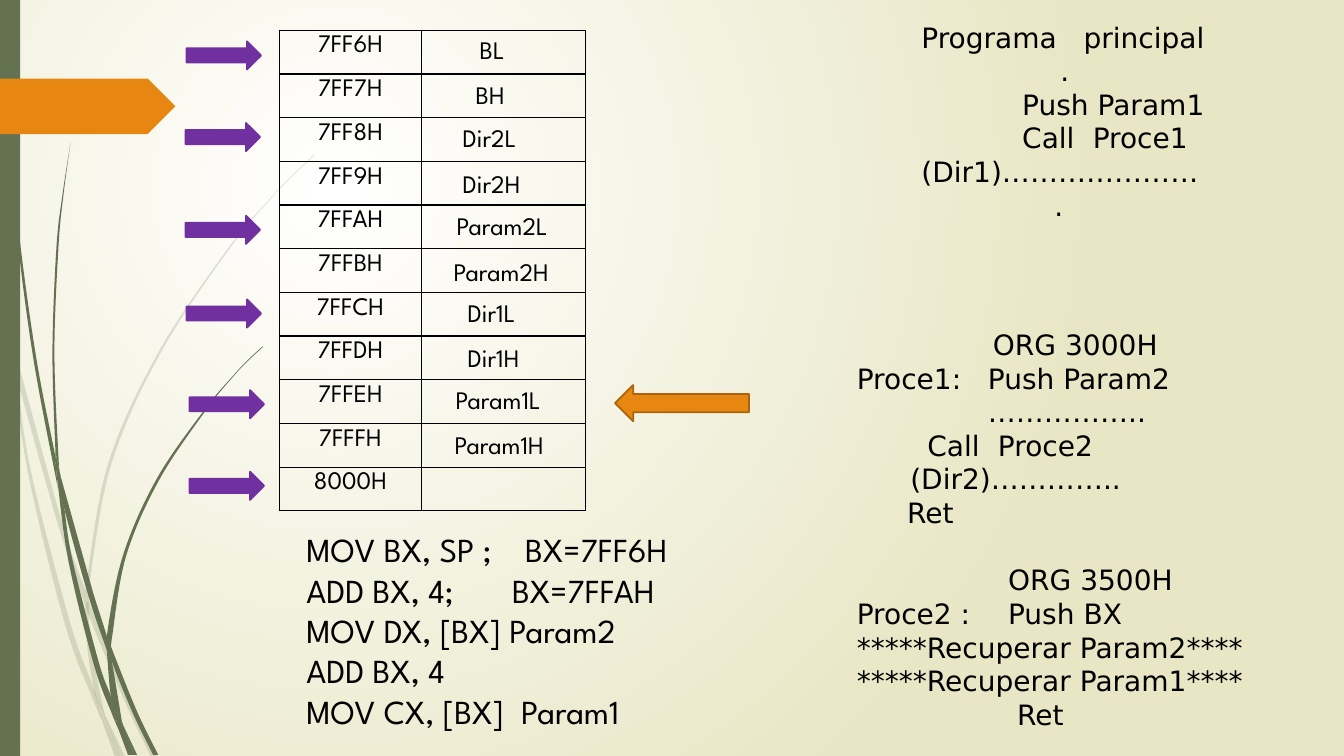
from pptx import Presentation
from pptx.dml.color import RGBColor
from pptx.enum.shapes import MSO_SHAPE
from pptx.enum.text import PP_ALIGN
from pptx.oxml.ns import qn
from pptx.util import Inches, Pt
from lxml.etree import SubElement

HUE = {"leaf": "647252", "gold": "E78712", "rust": "AB640D", "plum": "7030A0",
       "ink": "000000", "pale": "FFFFFF", "sand": "E8E6C4"}
INK = RGBColor.from_string(HUE["ink"])
CODE = {"name": "DejaVu Sans", "size": Pt(20)}
CELL = {"name": "League Spartan", "size": Pt(18)}
STEP = {"name": "League Spartan", "size": Pt(24)}

ADDR = ["7FF6H", "7FF7H", "7FF8H", "7FF9H", "7FFAH", "7FFBH",
        "7FFCH", "7FFDH", "7FFEH", "7FFFH", "8000H"]
MARKS = [("BL", 4.66, 0.29), ("BH", 4.62, 0.74), ("Dir2L", 4.49, 1.16),
         ("Dir2H", 4.49, 1.62), ("Param2L", 4.43, 2.04), ("Param2H", 4.4, 2.49),
         ("Dir1L", 4.54, 2.9), ("Dir1H", 4.54, 3.35), ("Param1L", 4.42, 3.76),
         ("Param1H", 4.41, 4.21)]
ARROWS = [(1.85, 0.41), (1.84, 1.22), (1.84, 2.14), (1.85, 2.97), (1.88, 3.87), (1.88, 4.68)]

MAIN = [("Programa\tprincipal", [1.61]), ("\t.", [1.38]), ("\tPush Param1", [1]),
        ("\tCall\tProce1", [1, 1.7]), ("(Dir1)…………………", []), ("\t.", [1.32])]
PROCS = [("\tORG 3000H", [1.35]), ("Proce1:\tPush Param2", [1.3]), ("\t……………..", [1.3]),
         ("\tCall\tProce2", [0.7, 1.4]), ("\t(Dir2)…………..", [0.53]), ("\tRet", [0.5]),
         ("\tORG 3500H", [1.5]), ("Proce2 :\tPush BX", [1.5]),
         ("*****Recuperar Param2****", []), ("*****Recuperar Param1****", []),
         ("\tRet", [1.59])]
STEPS = [("MOV BX, SP ;\tBX=7FF6H", [2.17]), ("ADD BX, 4;\tBX=7FFAH", [2.04]),
         ("MOV DX, [BX] Param2", []), ("ADD BX, 4", []),
         ("MOV CX, [BX]\tParam1", [2.13])]

PALE = [
    ([(.11, 3.5), (.09, 3.22), (0, 2.82)], [(0, 2.99), (.1, 3.44)]),
    ([(.17, 3.76), (.58, 5.22), (.84, 5.99)], [(.85, 5.86), (.62, 5.2), (.14, 3.45)]),
    ([(.88, 5.96), (.88, 6.1), (1.23, 6.94), (1.5, 7.51)], [(1.55, 7.51), (1.27, 6.92), (.92, 6.07)]),
    ([(1.05, 7.11), (1.19, 7.51)], [(1.24, 7.51)]),
    ([(.11, 3.5), (.28, 4.7), (.65, 6.21), (.92, 6.93), (1.01, 7.14)],
     [(.99, 7.07), (.93, 6.83), (.7, 6.19), (.31, 4.69), (.17, 3.76)]),
    ([(.84, 5.99), (.87, 6.46), (.93, 6.83), (.96, 6.92), (1.05, 7.11)],
     [(1.03, 7.06), (.91, 6.46), (.88, 6.1), (.88, 6.08)]),
    ([(.88, 5.84), (1.1, 4.62), (1.6, 3.49), (2.29, 2.45), (2.68, 1.98), (2.9, 1.75), (3.12, 1.54)],
     [(3.12, 1.53), (2.89, 1.75), (2.68, 1.97), (2.28, 2.44), (1.58, 3.48), (1.07, 4.61),
      (.85, 5.84), (.85, 5.86), (.88, 5.96)]),
    ([(1.01, 7.14), (1.14, 7.51)], [(1.19, 7.51)]),
    ([(.88, 6.08), (.88, 6.1), (.88, 5.96)], [(.85, 5.86), (.84, 5.99)]),
    ([(.93, 6.83), (.99, 7.07), (1.01, 7.14), (1.19, 7.51)], [(1.19, 7.51), (1.05, 7.11), (.96, 6.92)])]
DARK = [
    ([(.03, 0), (.04, .48), (.07, 1.1), (.17, 2.33), (.33, 3.55), (.56, 4.77), (.57, 4.81)],
     [(.55, 4.57), (.55, 4.53), (.36, 3.55), (.19, 2.32), (.08, 1.09), (.05, .48), (.04, 0)]),
    ([(.6, 4.72), (.64, 5.05), (.88, 5.92), (1.06, 6.45)], [(1.06, 6.33), (1.06, 6.31), (.93, 5.9)]),
    ([(1.1, 6.41), (1.11, 6.56), (1.32, 7.08), (1.52, 7.49)], [(1.57, 7.49), (1.36, 7.06), (1.13, 6.49)]),
    ([(.57, 4.77), (.68, 5.57), (.93, 6.59), (1.11, 7.08), (1.17, 7.22)],
     [(1.16, 7.17), (1.1, 6.91), (.98, 6.57), (.72, 5.56), (.64, 5.05)]),
    ([(.6, 4.72), (.58, 4.53), (.54, 3.49), (.58, 2.45), (.63, 1.93), (.7, 1.41)],
     [(.7, 1.41), (.62, 1.93), (.56, 2.45), (.52, 3.49), (.55, 4.49)]),
    ([(1.22, 7.19), (1.33, 7.49)], [(1.36, 7.49)]),
    ([(.55, 4.49), (.55, 4.53), (.57, 4.77), (.64, 5.05)], [(.6, 4.72)]),
    ([(1.11, 6.33), (1.25, 5.52), (1.58, 4.76), (2.05, 4.06), (2.31, 3.74), (2.45, 3.59), (2.61, 3.44)],
     [(2.6, 3.44), (2.45, 3.58), (2.31, 3.73), (2.04, 4.05), (1.56, 4.74), (1.22, 5.51),
      (1.06, 6.31), (1.1, 6.41)]),
    ([(1.17, 7.22), (1.27, 7.49)], [(1.31, 7.49)]),
    ([(1.06, 6.45), (1.1, 6.91), (1.16, 7.06), (1.22, 7.19)], [(1.21, 7.16), (1.11, 6.56), (1.09, 6.51)]),
    ([(1.06, 6.45), (1.09, 6.51), (1.11, 6.56)], [(1.1, 6.41), (1.06, 6.31), (1.06, 6.33)]),
    ([(1.1, 6.91), (1.16, 7.17), (1.17, 7.22), (1.3, 7.49)], [(1.33, 7.49), (1.22, 7.19), (1.16, 7.06)])]

deck = Presentation()
deck.slide_width, deck.slide_height = Inches(13.33), Inches(7.5)
slide = deck.slides.add_slide(deck.slide_layouts[6])
shapes = slide.shapes


def paint(shape, fill, line=None):
    shape.shadow.inherit = False
    shape.fill.solid()
    shape.fill.fore_color.rgb = RGBColor.from_string(HUE[fill])
    if line:
        shape.line.color.rgb = RGBColor.from_string(HUE[line])
        shape.line.width = Pt(1.25)
    else:
        shape.line.fill.background()


def draw(kind, box, fill, line=None):
    paint(shapes.add_shape(kind, *map(Inches, box)), fill, line)


def bend(shape, turn):
    spots = list(shape.element.iter(qn("a:pt")))
    dots = [(int(p.get("x")), int(p.get("y"))) for p in spots]
    for side in (range(turn), range(turn, len(dots))):
        for i in side[1:]:
            a, b, c, d = (dots[min(max(k, side[0]), side[-1])] for k in range(i - 2, i + 2))
            line = spots[i].getparent()
            arc = line.makeelement(qn("a:cubicBezTo"), {})
            for x, y in ([q + (r - p) / 6 for p, q, r in zip(a, b, c)],
                         [r - (s - q) / 6 for q, r, s in zip(b, c, d)], c):
                SubElement(arc, qn("a:pt"), x=str(round(x)), y=str(round(y)))
            line.getparent().replace(line, arc)


def stem(sides, alpha=None):
    dots = [(Inches(x), Inches(y)) for side in sides for x, y in side]
    pen = shapes.build_freeform(*dots[0])
    pen.add_line_segments(dots[1:], close=False)
    shape = pen.convert_to_shape()
    bend(shape, len(sides[0]))
    SubElement(next(shape.element.iter(qn("a:path"))), qn("a:close"))
    paint(shape, "leaf")
    if alpha:
        tint = shape.element.spPr.find(qn("a:solidFill"))[0]
        SubElement(tint, qn("a:alpha"), val=str(alpha * 1000))


def write(para, text, style):
    run = para.add_run()
    run.text = text
    for key, val in style.items():
        setattr(run.font, key, val)
    run.font.color.rgb = INK


def block(box, lines, style, gap=None):
    frame = shapes.add_textbox(*map(Inches, box)).text_frame
    frame.word_wrap = True
    for i, (text, stops) in enumerate(lines):
        para = frame.add_paragraph() if i else frame.paragraphs[0]
        if i == gap:
            para.space_before = Pt(24)
        write(para, text, style)
        if stops:
            tabs = SubElement(para._p.get_or_add_pPr(), qn("a:tabLst"))
            for stop in stops:
                SubElement(tabs, qn("a:tab"), pos=str(Inches(stop)), algn="l")


def edge(cell):
    props = cell._tc.get_or_add_tcPr()
    for i, side in enumerate(("lnL", "lnR", "lnT", "lnB")):
        line = props.makeelement(qn("a:" + side), {"w": str(Pt(1))})
        SubElement(SubElement(line, qn("a:solidFill")), qn("a:srgbClr"), val=HUE["ink"])
        props.insert(i, line)


fill = slide.background.fill
fill.gradient()
for stop, name, pos in zip(fill.gradient_stops, ("pale", "sand"), (0, 1)):
    stop.color.rgb = RGBColor.from_string(HUE[name])
    stop.position = pos
grad = slide.element.find(".//" + qn("a:gradFill"))
grad.remove(grad.find(qn("a:lin")))
glow = SubElement(grad, qn("a:path"), {"path": "circle"})
SubElement(glow, qn("a:fillToRect"), l="50000", t="50000", r="100000", b="100000")

for group, alpha in ((PALE, 20), (DARK, None)):
    for sides in group:
        stem(sides, alpha)
draw(MSO_SHAPE.RECTANGLE, (0, 0, 0.2, 7.5), "leaf")
draw(MSO_SHAPE.PENTAGON, (0, 0.78, 1.74, 0.55), "gold")

block((9.04, 0.15, 3.7, 2.12), MAIN, CODE)
block((8.4, 3.2, 4.6, 4.14), PROCS, CODE, gap=6)

grid = shapes.add_table(len(ADDR), 2, *map(Inches, (2.77, 0.3, 3.04, 4.77))).table
grid.first_row = grid.horz_banding = False
for col, width in zip(grid.columns, (1.41, 1.63)):
    col.width = Inches(width)
for row, text in zip(grid.rows, ADDR):
    for cell in row.cells:
        cell.fill.background()
        edge(cell)
    para = row.cells[0].text_frame.paragraphs[0]
    para.alignment = PP_ALIGN.CENTER
    write(para, text, CELL)

for left, top in ARROWS:
    draw(MSO_SHAPE.RIGHT_ARROW, (left, top, 0.74, 0.28), "plum", "plum")
for text, left, top in MARKS:
    block((left, top, 1.3, 0.4), [(text, [])], CELL)
block((2.94, 5.2, 4.6, 2.25), STEPS, STEP)
draw(MSO_SHAPE.LEFT_ARROW, (6.1, 3.82, 1.33, 0.36), "gold", "rust")

deck.save("out.pptx")
